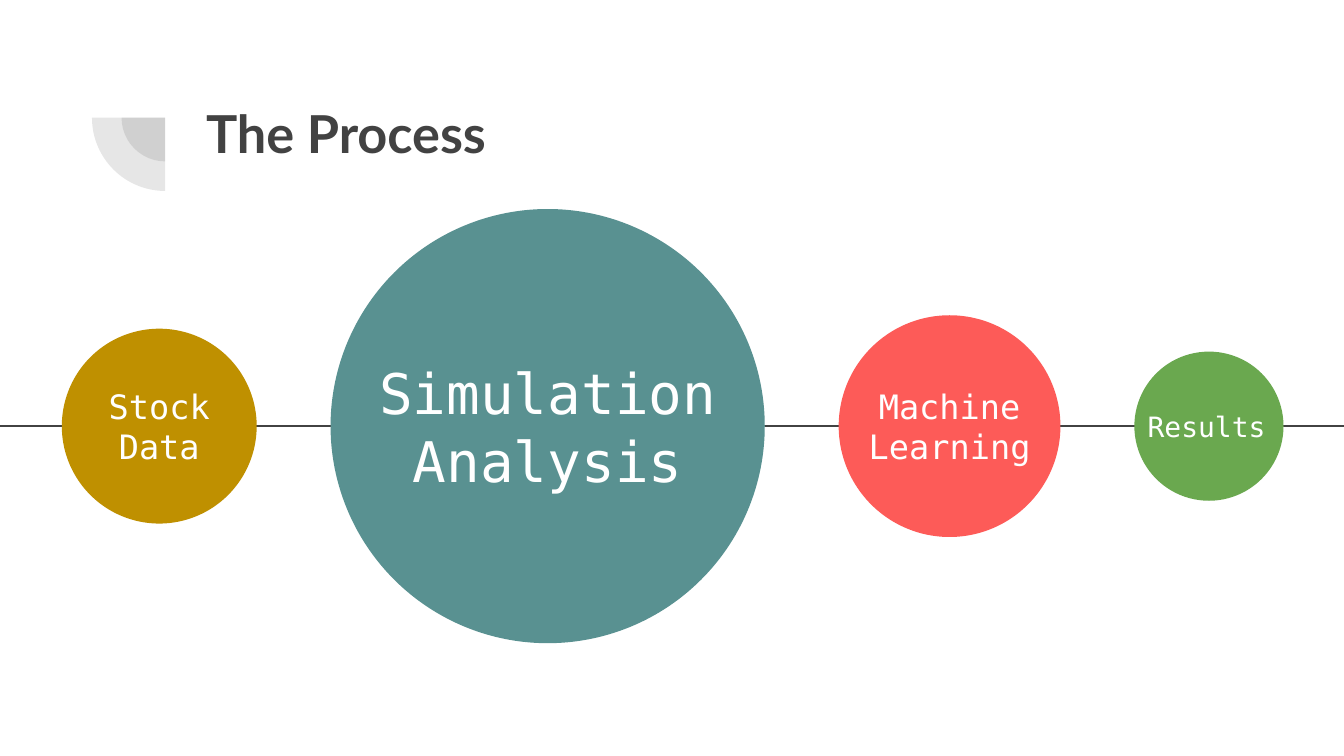
from pptx import Presentation
from pptx.dml.color import RGBColor
from pptx.enum.shapes import MSO_CONNECTOR, MSO_SHAPE
from pptx.enum.text import MSO_ANCHOR, PP_ALIGN
from pptx.oxml.ns import qn
from pptx.util import Pt
from lxml import etree

COLORS = {"dark": "424242", "white": "FFFFFF", "gold": "BF9000",
          "teal": "599191", "coral": "FD5B58", "green": "6AA84F"}
MONO = "DejaVu Sans Mono"
SLIDE_W, SLIDE_H = 720, 405
GAP = 39.6  # between neighbouring circles
LABEL_H = 47.5

# paragraphs, diameter, fill, text size, alignment
STEPS = [
    (["Stock", "Data"], 104.4, "gold", 18, PP_ALIGN.CENTER),
    (["Simulation Analysis"], 232.6, "teal", 30, PP_ALIGN.CENTER),
    (["Machine Learning"], 118.8, "coral", 18, PP_ALIGN.CENTER),
    (["Results"], 79.9, "green", 15, PP_ALIGN.LEFT),
]


def rgb(name):
    return RGBColor.from_string(COLORS[name])


def add_filled(slide, kind, cx, cy, diameter, color):
    """Round shape without outline, placed by its centre."""
    sp = slide.shapes.add_shape(kind, Pt(cx - diameter / 2), Pt(cy - diameter / 2),
                                Pt(diameter), Pt(diameter))
    sp.shadow.inherit = False
    sp.fill.solid()
    sp.fill.fore_color.rgb = rgb(color)
    sp.line.fill.background()
    return sp


def add_text(slide, box, paragraphs, size, font, color, bold=False,
             align=PP_ALIGN.LEFT, anchor=MSO_ANCHOR.TOP):
    tf = slide.shapes.add_textbox(*map(Pt, box)).text_frame
    tf.word_wrap = True
    tf.vertical_anchor = anchor
    tf.margin_left = tf.margin_right = tf.margin_top = tf.margin_bottom = Pt(7.2)
    tf.text = "\n".join(paragraphs)
    for p in tf.paragraphs:
        p.alignment = align
        for r in p.runs:
            r.font.size, r.font.name, r.font.bold = Pt(size), font, bold
            r.font.color.rgb = rgb(color)


def add_heading(slide, x, y, w, h):
    # Two translucent quarter discs sharing one centre
    for diameter in (46.8, 78.5):
        sp = add_filled(slide, MSO_SHAPE.PIE, x + 39.25, y + 39.25, diameter, "dark")
        sp.adjustments[0], sp.adjustments[1] = 108, 162
        sp.rotation = 270
        clr = sp._element.spPr.find(".//" + qn("a:srgbClr"))
        etree.SubElement(clr, qn("a:alpha"), val="13000")
    # Title
    add_text(slide, (x + 54, y + 23, w - 54, h - 23), ["The Process"],
             28, "Lato", "dark", bold=True)


def add_process(slide, x, y, w, h):
    cy = y + h / 2
    # Line behind the circles
    line = slide.shapes.add_connector(MSO_CONNECTOR.STRAIGHT, Pt(0), Pt(cy),
                                      Pt(SLIDE_W), Pt(cy))
    line.line.color.rgb = rgb("dark")
    line.line.width = Pt(1.5)
    etree.SubElement(line._element.spPr, qn("a:effectLst"))
    # Circles in a row, centred in the box
    left = x + (w - sum(s[1] for s in STEPS) - GAP * (len(STEPS) - 1)) / 2
    for paragraphs, diameter, color, size, align in STEPS:
        add_filled(slide, MSO_SHAPE.OVAL, left + diameter / 2, cy, diameter, color)
        add_text(slide, (left, cy - LABEL_H / 2, diameter, LABEL_H), paragraphs,
                 size, MONO, "white", align=align, anchor=MSO_ANCHOR.MIDDLE)
        left += diameter + GAP


def main():
    prs = Presentation()
    prs.slide_width, prs.slide_height = Pt(SLIDE_W), Pt(SLIDE_H)
    slide = prs.slides.add_slide(prs.slide_layouts[6])
    add_heading(slide, 49.3, 23.8, 607.3, 101.5)
    add_process(slide, 33.1, 112, 654.5, 232.6)
    prs.save("out.pptx")


if __name__ == "__main__":
    main()
